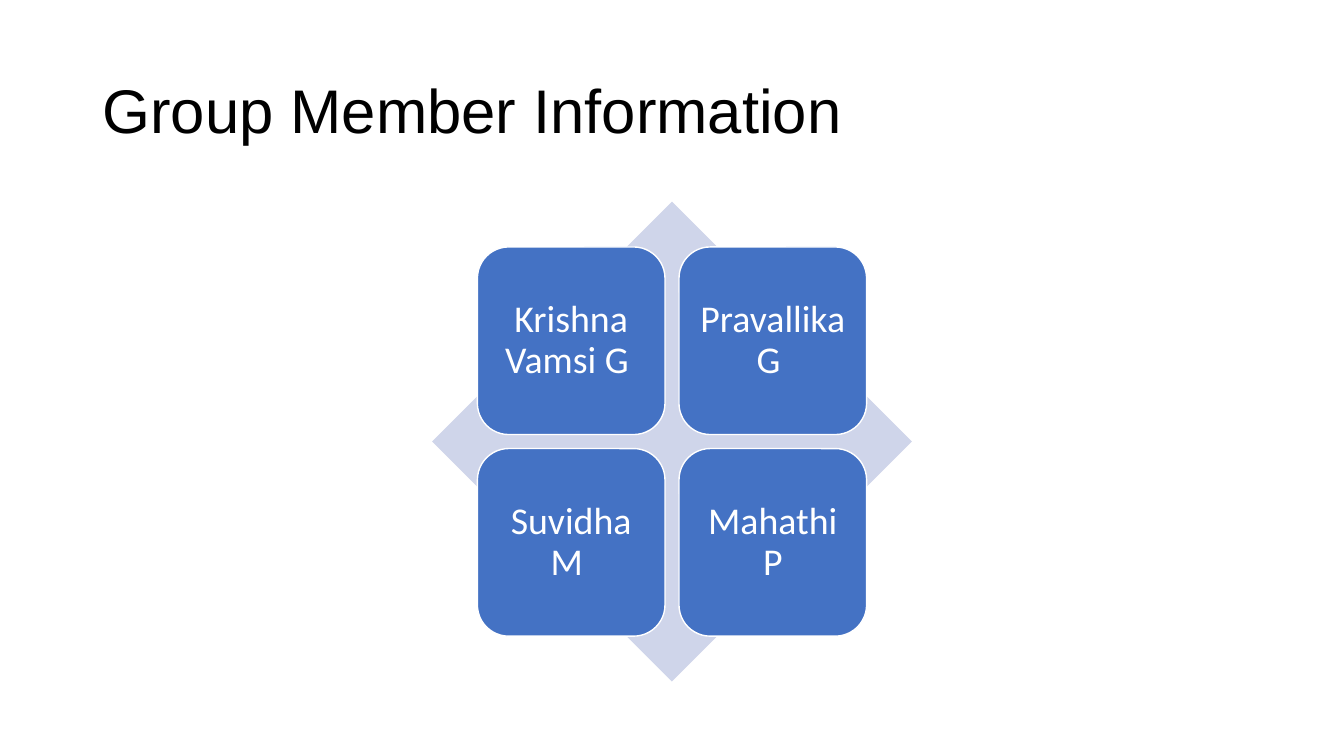
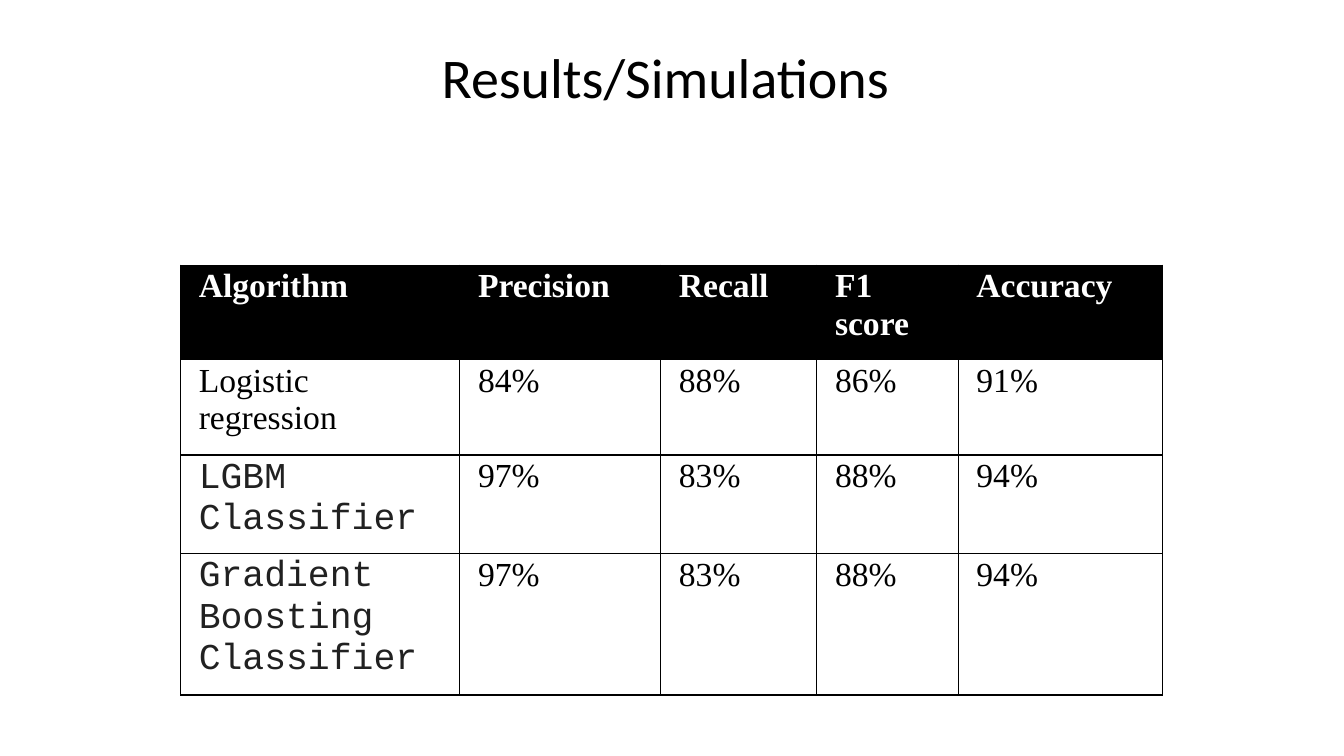
from lxml import etree
from pptx import Presentation
from pptx.dml.color import RGBColor
from pptx.enum.shapes import MSO_SHAPE
from pptx.enum.text import MSO_ANCHOR, MSO_AUTO_SIZE, PP_ALIGN
from pptx.oxml.ns import qn
from pptx.util import Pt

# Shared constants
BLACK = RGBColor(0x00, 0x00, 0x00)
WHITE = RGBColor(0xFF, 0xFF, 0xFF)
BLUE = RGBColor(0x44, 0x72, 0xC4)
PALE_BLUE = RGBColor(0xCF, 0xD5, 0xEA)
CODE_GREY = RGBColor(0x21, 0x21, 0x21)

DIAMOND, ROUNDED = MSO_SHAPE.DIAMOND, MSO_SHAPE.ROUNDED_RECTANGLE
LEFT, CENTER, JUSTIFY = PP_ALIGN.LEFT, PP_ALIGN.CENTER, PP_ALIGN.JUSTIFY
MIDDLE = MSO_ANCHOR.MIDDLE
NO_AUTOFIT = MSO_AUTO_SIZE.NONE

SLIDE_W, SLIDE_H = 960, 540
TITLE_ONLY = 5

# Slide content
MEMBERS = ["Krishna Vamsi G ", "Pravallika G ", "Suvidha M ", "Mahathi P"]
RESULTS = [
    ["Algorithm", "Precision", "Recall", "F1 score", "Accuracy"],
    ["Logistic regression ", "84%", "88%", "86%", "91%"],
    ["LGBM Classifier", "97%", "83%", "88%", "94%"],
    ["Gradient Boosting\nClassifier", "97%", "83%", "88%", "94%"],
]
COL_WIDTHS = [199.5, 143.5, 111.5, 101, 146]
ROW_HEIGHTS = [67.5, 68, 70.5, 101]

# Text styles
HEADER = dict(font="Times New Roman", size=24, color=WHITE, bold=True, align=JUSTIFY)
BODY = dict(HEADER, color=BLACK, bold=False)
CODE = dict(BODY, font="Courier New", size=26, color=CODE_GREY)


def write(tf, text, font="Calibri", size=27, color=BLACK, bold=False,
          align=LEFT, spacing=None):
    """Fill a text frame, one paragraph for each line of text."""
    tf.word_wrap = True
    for i, line in enumerate(text.split("\n")):
        p = tf.add_paragraph() if i else tf.paragraphs[0]
        p.alignment = align
        p.line_spacing = spacing
        r = p.add_run()
        r.text = line
        r.font.name = font
        r.font.size = Pt(size)
        r.font.bold = bold
        r.font.color.rgb = color


def set_margins(box, x, top, bottom):
    box.margin_left = box.margin_right = Pt(x)
    box.margin_top, box.margin_bottom = Pt(top), Pt(bottom)


def add_titled_slide(prs, text, box, **style):
    slide = prs.slides.add_slide(prs.slide_layouts[TITLE_ONLY])
    sp = slide.shapes.title
    sp.left, sp.top, sp.width, sp.height = map(Pt, box)
    tf = sp.text_frame
    tf.auto_size = NO_AUTOFIT
    tf.vertical_anchor = MIDDLE
    write(tf, text, spacing=0.9, **style)
    return slide


def add_square(slide, kind, x, y, size, fill, line=None):
    sp = slide.shapes.add_shape(kind, Pt(x), Pt(y), Pt(size), Pt(size))
    sp.shadow.inherit = False
    sp.fill.solid()
    sp.fill.fore_color.rgb = fill
    if line is None:
        sp.line.fill.background()
    else:
        sp.line.color.rgb = line
        sp.line.width = Pt(1)
    return sp


def add_member_matrix(slide, names, cx=480, cy=315.4, diamond=342.8, tile=134, gap=10):
    """Draw a two by two grid of tiles centred on a diamond."""
    add_square(slide, DIAMOND, cx - diamond / 2, cy - diamond / 2, diamond, PALE_BLUE)
    offset = tile + gap / 2
    for i, name in enumerate(names):
        row, col = divmod(i, 2)
        sp = add_square(slide, ROUNDED, cx - offset + col * (tile + gap),
                        cy - offset + row * (tile + gap), tile, BLUE, WHITE)
        tf = sp.text_frame
        tf.vertical_anchor = MIDDLE
        set_margins(tf, 7.9, 7.9, 7.9)
        write(tf, name, color=WHITE, align=CENTER, spacing=0.9)


def add_borders(cell, color=BLACK, width=1):
    props = cell._tc.get_or_add_tcPr()
    for i, side in enumerate(("a:lnL", "a:lnR", "a:lnT", "a:lnB")):
        ln = etree.Element(qn(side), w=str(Pt(width)))
        fill = etree.SubElement(ln, qn("a:solidFill"))
        etree.SubElement(fill, qn("a:srgbClr"), val=str(color))
        props.insert(i, ln)


def cell_style(row, col):
    if row == 0:
        return HEADER
    return CODE if col == 0 and row > 1 else BODY


def add_results_table(slide, rows, x=129, y=189.5):
    frame = slide.shapes.add_table(len(rows), len(rows[0]), Pt(x), Pt(y),
                                   Pt(sum(COL_WIDTHS)), Pt(sum(ROW_HEIGHTS)))
    table = frame.table
    table.first_row = table.horz_banding = False
    for column, width in zip(table.columns, COL_WIDTHS):
        column.width = Pt(width)
    for i, values in enumerate(rows):
        table.rows[i].height = Pt(ROW_HEIGHTS[i])
        for j, text in enumerate(values):
            cell = table.cell(i, j)
            set_margins(cell, 13, 2, 0)
            if i == 0:
                cell.fill.solid()
                cell.fill.fore_color.rgb = BLACK
            else:
                cell.fill.background()
            add_borders(cell)
            write(cell.text_frame, text, **cell_style(i, j))


def main():
    prs = Presentation()
    prs.slide_width, prs.slide_height = Pt(SLIDE_W), Pt(SLIDE_H)

    # Group members
    slide = add_titled_slide(prs, "Group Member Information", (66, 29, 828, 104),
                             font="Arial", size=44)
    add_member_matrix(slide, MEMBERS)

    # Results
    slide = add_titled_slide(prs, "Results/Simulations ", (79, 13.5, 801.5, 88),
                             size=40, align=CENTER)
    add_results_table(slide, RESULTS)

    prs.save("out.pptx")


if __name__ == "__main__":
    main()
